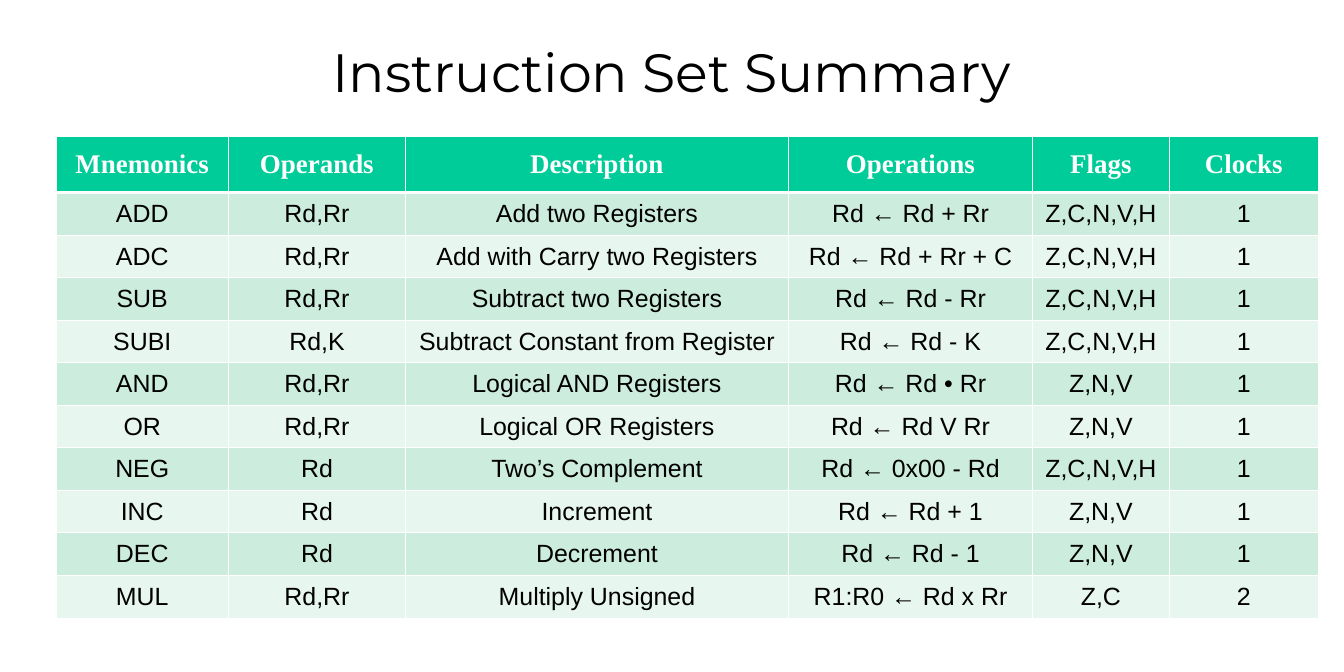
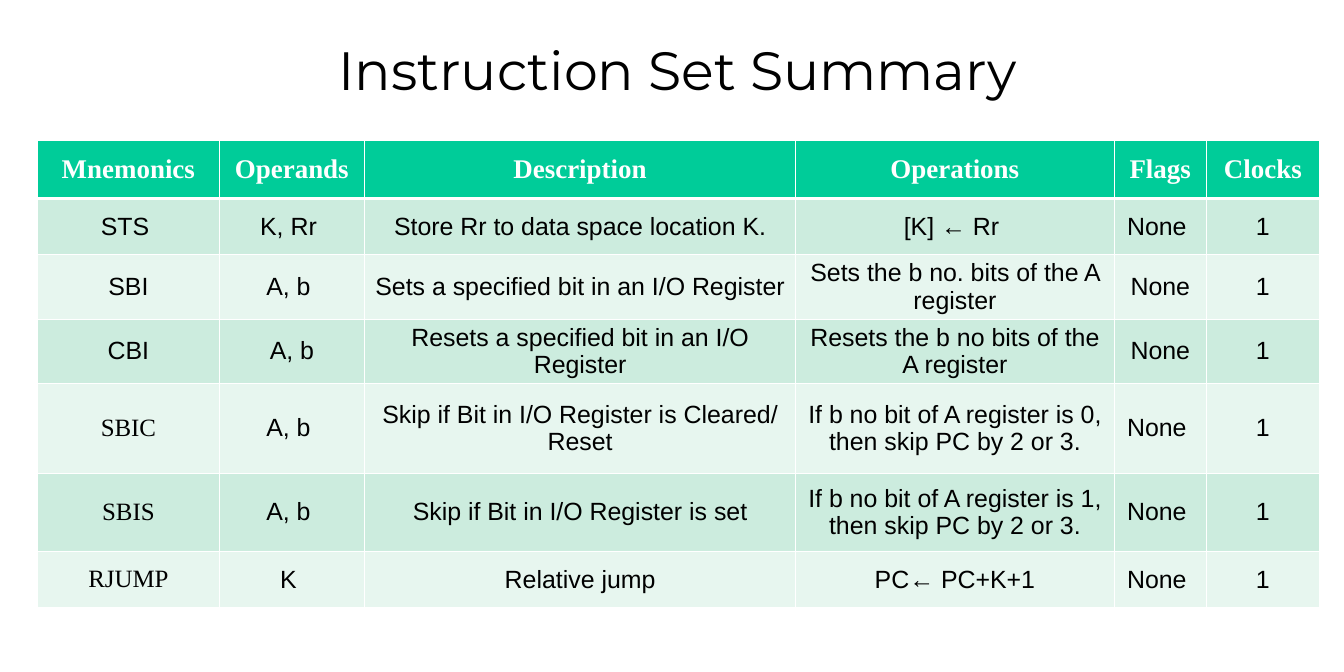
from lxml import etree
from pptx import Presentation
from pptx.dml.color import RGBColor
from pptx.enum.text import MSO_ANCHOR, MSO_AUTO_SIZE, PP_ALIGN
from pptx.oxml.ns import qn
from pptx.util import Inches, Pt

CENTER, MIDDLE, NO_FIT = PP_ALIGN.CENTER, MSO_ANCHOR.MIDDLE, MSO_AUTO_SIZE.NONE
BLACK = RGBColor(0x00, 0x00, 0x00)
WHITE = RGBColor(0xFF, 0xFF, 0xFF)
GREEN = RGBColor(0x00, 0xCC, 0x99)
BANDS = (RGBColor(0xE7, 0xF6, 0xEF), RGBColor(0xCC, 0xEC, 0xDE))
TITLE_FONT, HEAD_FONT, BODY_FONT = "Montserrat", "Times New Roman", "Arial"
TITLE_ONLY = 5

TITLE = "Instruction Set Summary"
HEADER = ("Mnemonics", "Operands", "Description", "Operations", "Flags", "Clocks")
ARITHMETIC = (
    ("ADD", "Rd,Rr", "Add two Registers", "Rd ← Rd + Rr", "Z,C,N,V,H", "1"),
    ("ADC", "Rd,Rr", "Add with Carry two Registers", "Rd ← Rd + Rr + C", "Z,C,N,V,H", "1"),
    ("SUB", "Rd,Rr", "Subtract two Registers", "Rd ← Rd - Rr", "Z,C,N,V,H", "1"),
    ("SUBI", "Rd,K", "Subtract Constant from Register", "Rd ← Rd - K", "Z,C,N,V,H", "1"),
    ("AND", "Rd,Rr", "Logical AND Registers", "Rd ← Rd • Rr", "Z,N,V", "1"),
    ("OR", "Rd,Rr", "Logical OR Registers", "Rd ← Rd V Rr", "Z,N,V", "1"),
    ("NEG", "Rd", "Two’s Complement", "Rd ← 0x00 - Rd", "Z,C,N,V,H", "1"),
    ("INC", "Rd", "Increment", "Rd ← Rd + 1", "Z,N,V", "1"),
    ("DEC", "Rd", "Decrement", "Rd ← Rd - 1", "Z,N,V", "1"),
    ("MUL", "Rd,Rr", "Multiply Unsigned", "R1:R0 ← Rd x Rr", "Z,C", "2"),
)
BIT_AND_JUMP = (
    ("STS ", "K, Rr ", "Store Rr to data space location K.", "[K] ← Rr ", "None ", "1"),
    ("SBI", "A, b ", "Sets a specified bit in an I/O Register",
     "Sets the b no. bits of the A register", "None", "1"),
    ("CBI", "A, b", "Resets a specified bit in an I/O Register",
     "Resets the b no bits of the A register", "None", "1"),
    ("SBIC", "A, b ", "Skip if Bit in I/O Register is Cleared/ Reset",
     "If b no bit of A register is 0, then skip PC by 2 or 3.", "None ", "1"),
    ("SBIS", "A, b ", "Skip if Bit in I/O Register is set",
     "If b no bit of A register is 1, then skip PC by 2 or 3.", "None ", "1"),
    ("RJUMP", "K ", "Relative jump", "PC← PC+K+1", "None ", "1"),
)
SERIF_MNEMONICS = ("SBIC", "SBIS", "RJUMP")


def set_text(tf, text, font, size, color, bold=False):
    """Write one centred paragraph in the given style."""
    tf.text = text
    p = tf.paragraphs[0]
    p.alignment = CENTER
    p.font.name, p.font.size, p.font.bold = font, Pt(size), bold
    p.font.color.rgb = color


def add_borders(cell, bottom):
    """Draw white cell borders, with the bottom one in the given points."""
    tcPr = cell._tc.get_or_add_tcPr()
    for side, width in (("L", 1), ("R", 1), ("T", 1), ("B", bottom)):
        ln = etree.SubElement(tcPr, qn(f"a:ln{side}"), w=str(Pt(width)))
        fill = etree.SubElement(ln, qn("a:solidFill"))
        etree.SubElement(fill, qn("a:srgbClr"), val=str(WHITE))


def style_cell(cell, text, row):
    """Fill a cell as header or banded body."""
    add_borders(cell, 1 if row else 3)
    cell.fill.solid()
    cell.fill.fore_color.rgb = BANDS[row % 2] if row else GREEN
    cell.vertical_anchor = MIDDLE
    cell.margin_left = cell.margin_right = Inches(0.12)
    cell.margin_top = cell.margin_bottom = Inches(0.06)
    if row:
        font = HEAD_FONT if text in SERIF_MNEMONICS else BODY_FONT
        set_text(cell.text_frame, text, font, 24, BLACK)
    else:
        set_text(cell.text_frame, text, HEAD_FONT, 26, WHITE, True)


def add_title(s, box):
    """Place the shared title in the title placeholder."""
    sp = s.shapes.title
    sp.left, sp.top, sp.width, sp.height = map(Inches, box)
    tf = sp.text_frame
    tf.word_wrap, tf.auto_size, tf.vertical_anchor = True, NO_FIT, MIDDLE
    set_text(tf, TITLE, TITLE_FONT, 52, BLACK)


def add_instructions(s, left, top, widths, heights, body):
    """Add an instruction table below the shared header."""
    rows = (HEADER, *body)
    table = s.shapes.add_table(
        len(rows), len(HEADER), Inches(left), Inches(top),
        Inches(sum(widths)), Inches(sum(heights))).table
    for column, width in zip(table.columns, widths):
        column.width = Inches(width)
    for r, (texts, height) in enumerate(zip(rows, heights)):
        table.rows[r].height = Inches(height)
        for c, text in enumerate(texts):
            style_cell(table.cell(r, c), text, r)


def add_summary(prs, title_box, *table):
    """Add one summary slide."""
    s = prs.slides.add_slide(prs.slide_layouts[TITLE_ONLY])
    s.background.fill.solid()
    s.background.fill.fore_color.rgb = WHITE
    add_title(s, title_box)
    add_instructions(s, *table)


def main():
    """Build and save the presentation."""
    prs = Presentation()
    prs.slide_width, prs.slide_height = Inches(18), Inches(9)
    add_summary(prs, (1.35, 0.5, 15.3, 0.9), 0.75, 1.83,
                (2.31, 2.37, 5.13, 3.27, 1.83, 2),
                (0.75, *[0.57] * len(ARITHMETIC)), ARITHMETIC)
    add_summary(prs, (2.48, 0.42, 13.2, 1.01), 0.5, 1.88,
                (2.44, 1.94, 5.78, 4.26, 1.24, 1.51),
                (0.78, 0.75, 0.84, 0.84, 1.2, 1.05, 0.75), BIT_AND_JUMP)
    prs.save("out.pptx")


if __name__ == "__main__":
    main()
